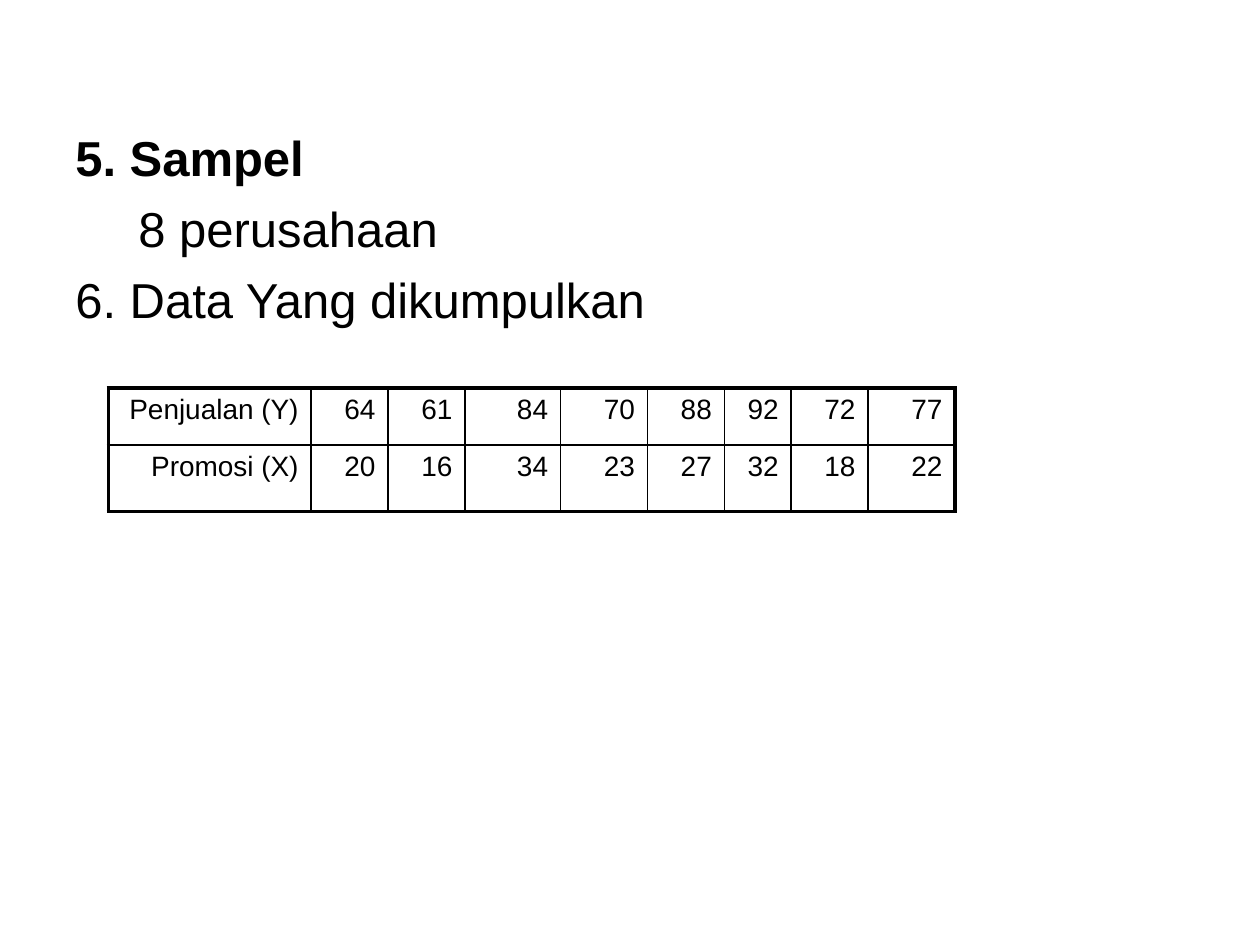
from pptx import Presentation
from pptx import util as u
from pptx.dml.color import RGBColor
from pptx.enum import text
from pptx.oxml import parse_xml
from pptx.oxml.ns import nsdecls


def color(code):
    return RGBColor.from_string(code)


class Deck:
    font = "Arial"
    ink = "000000"
    thin, thick = 1, 2.25

    def __init__(self, wide, high):
        self.prs = Presentation()
        self.prs.slide_width = u.Inches(wide)
        self.prs.slide_height = u.Inches(high)
        self.slide = self.prs.slides.add_slide(self.prs.slide_layouts[6])

    def run(self, para, words, size, bold=False):
        run = para.add_run()
        run.text = words
        run.font.name = self.font
        run.font.size = u.Pt(size)
        run.font.bold = bold
        run.font.color.rgb = color(self.ink)

    def body(self, box, items, size, gap):
        frame = self.slide.shapes.add_textbox(*map(u.Inches, box)).text_frame
        frame.word_wrap = True
        frame.margin_top = u.Inches(0.09)
        for i, (words, level, bold) in enumerate(items):
            para = frame.add_paragraph() if i else frame.paragraphs[0]
            para.level = level
            left, hang = ((0.38, -0.38), (0.81, -0.31))[level]
            props = para._p.get_or_add_pPr()
            props.set("marL", str(u.Inches(left)))
            props.set("indent", str(u.Inches(hang)))
            if i:
                para.space_before = u.Pt(gap)
            self.run(para, words, size, bold)

    def border(self, cell, widths):
        props = cell._tc.get_or_add_tcPr()
        for i, (side, width) in enumerate(zip("LRTB", widths)):
            props.insert(i, parse_xml(
                f'<a:ln{side} {nsdecls("a")} w="{u.Pt(width)}"><a:solidFill>'
                f'<a:srgbClr val="{self.ink}"/></a:solidFill></a:ln{side}>'))

    def table(self, left, top, cols, highs, rows, size):
        box = map(u.Inches, (left, top, sum(cols), sum(highs)))
        grid = self.slide.shapes.add_table(len(rows), len(cols), *box).table
        grid.first_row = grid.horz_banding = False
        for col, width in zip(grid.columns, cols):
            col.width = u.Inches(width)
        for r, row in enumerate(rows):
            grid.rows[r].height = u.Inches(highs[r])
            for c, value in enumerate(row):
                cell = grid.cell(r, c)
                cell.fill.background()
                # Thick outer frame, thin inner lines
                edges = (c == 0, c == len(cols) - 1, r == 0, r == len(rows) - 1)
                self.border(cell, [self.thick if e else self.thin for e in edges])
                para = cell.text_frame.paragraphs[0]
                para.alignment = text.PP_ALIGN.RIGHT
                self.run(para, str(value), size)


def main():
    deck = Deck(10, 7.5)

    # Numbered points
    deck.body((0.5, 0.92, 9.5, 4.95), [
        ("5. Sampel", 0, True),
        ("8 perusahaan", 1, False),
        ("6. Data Yang dikumpulkan", 0, False),
    ], size=28, gap=7)

    # Sales and promotion data
    deck.table(
        0.86, 3.08,
        cols=[1.61, 0.61, 0.61, 0.76, 0.69, 0.61, 0.53, 0.61, 0.69],
        highs=[0.45, 0.53],
        rows=[
            ["Penjualan (Y)", 64, 61, 84, 70, 88, 92, 72, 77],
            ["Promosi (X)", 20, 16, 34, 23, 27, 32, 18, 22],
        ], size=16)

    deck.prs.save("out.pptx")


if __name__ == "__main__":
    main()
